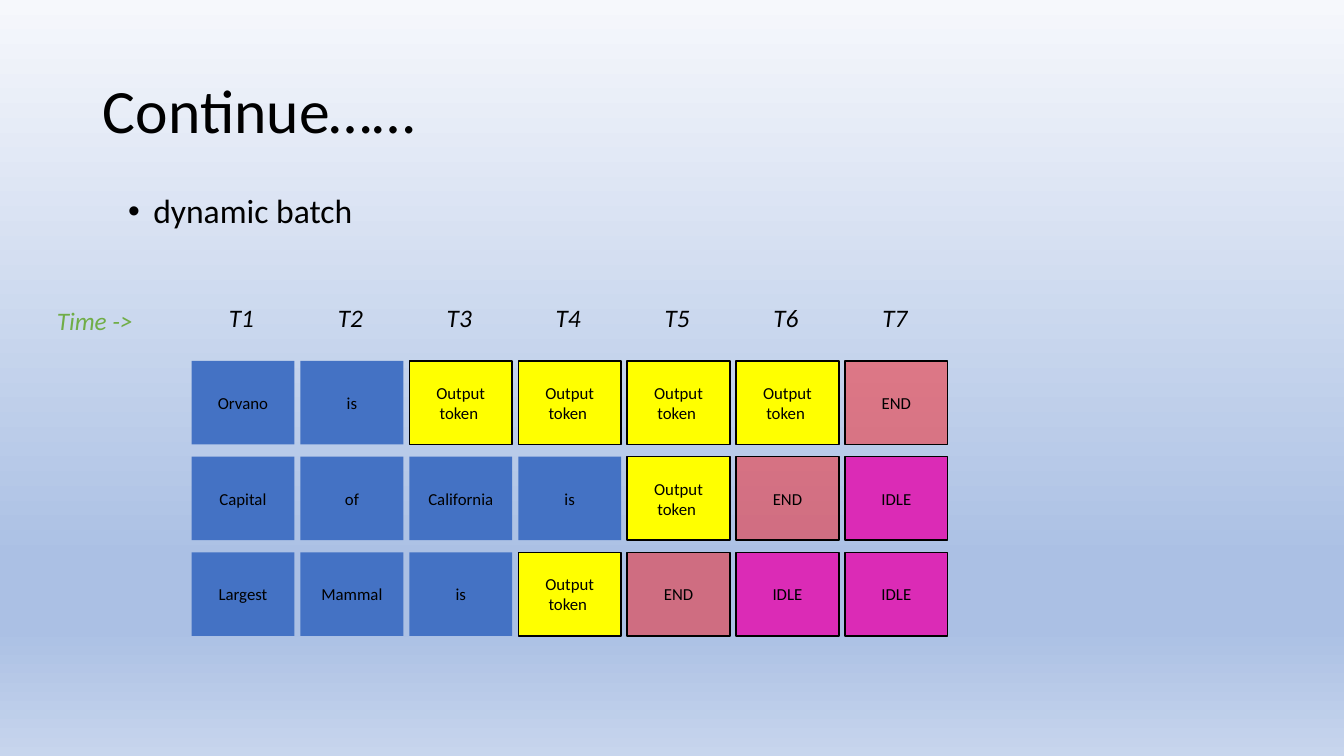
from lxml import etree
from pptx import Presentation
from pptx.dml.color import RGBColor
from pptx.enum.shapes import MSO_SHAPE
from pptx.enum.text import MSO_ANCHOR, MSO_AUTO_SIZE, PP_ALIGN
from pptx.oxml.ns import qn
from pptx.util import Inches, Pt

RECTANGLE = MSO_SHAPE.RECTANGLE
MIDDLE, TOP = MSO_ANCHOR.MIDDLE, MSO_ANCHOR.TOP
LEFT, CENTER = PP_ALIGN.LEFT, PP_ALIGN.CENTER
NO_FIT, GROW = MSO_AUTO_SIZE.NONE, MSO_AUTO_SIZE.SHAPE_TO_FIT_TEXT

COLORS = {
    "text": "000000",
    "time": "70AD47",
    "prompt": "4472C4",
    "output": "FFFF00",
    "end": "FF0000",
    "idle": "DB2BB6",
}
BACKGROUND = [(0, "F6F8FC"), (74, "ABC0E4"), (83, "ABC0E4"), (100, "C7D5ED")]
END_OPACITY = 43

GRID_LEFT, GRID_TOP = 1.9, 3.58
COLUMN_STEP, ROW_STEP = 1.08, 0.95
CELL_WIDTH, CELL_HEIGHT = 1.02, 0.83
HEADING_TOP, HEADING_WIDTH, HEADING_HEIGHT = 2.95, 0.99, 0.4

STEPS = 7
PROMPTS = [
    (["Orvano", "is"], 4),
    (["Capital", "of", "California", "is"], 1),
    (["Largest", "Mammal", "is"], 1),
]


def color(name):
    return RGBColor.from_string(COLORS[name])


def apply(target, values):
    for name, value in values.items():
        setattr(target, name, value)


def write(para, text, size, color_name="text", italic=False):
    para.text = text
    apply(para.font, {"name": "Calibri", "size": Pt(size), "italic": italic})
    para.font.color.rgb = color(color_name)


def place(shape, left, top, width, height):
    apply(shape, {"left": Inches(left), "top": Inches(top),
                  "width": Inches(width), "height": Inches(height)})


def paint_background(page):
    fill = page.background.fill
    fill.gradient()
    fill.gradient_angle = 270
    stops = next(page.element.iter(qn("a:gsLst")))
    for stop in list(stops):
        stops.remove(stop)
    for position, shade in BACKGROUND:
        stop = etree.SubElement(stops, qn("a:gs"), pos=str(position * 1000))
        etree.SubElement(stop, qn("a:srgbClr"), val=shade)


def add_title(page, text):
    title = page.shapes.title
    place(title, 0.92, 0.4, 11.5, 1.45)
    apply(title.text_frame, {"vertical_anchor": MIDDLE, "auto_size": NO_FIT})
    para = title.text_frame.paragraphs[0]
    write(para, text, 44)
    apply(para, {"alignment": LEFT, "line_spacing": 0.9})


def add_topic(page, text):
    body = page.placeholders[1]
    place(body, 0.67, 1.88, 12, 0.53)
    apply(body.text_frame, {"vertical_anchor": TOP, "auto_size": NO_FIT})
    para = body.text_frame.paragraphs[0]
    para.level = 1
    properties = para._p.get_or_add_pPr()
    properties.set("marL", str(Inches(0.75)))
    properties.set("indent", str(Inches(-0.25)))
    etree.SubElement(properties, qn("a:buFont"), typeface="Arial")
    etree.SubElement(properties, qn("a:buChar"), char="•")
    write(para, text, 24)
    apply(para, {"line_spacing": 0.9, "space_before": Pt(0)})


def add_heading(page, text, left, top, width, color_name="text", wrap=True):
    box = page.shapes.add_textbox(Inches(left), Inches(top), Inches(width),
                                  Inches(HEADING_HEIGHT))
    apply(box.text_frame, {"margin_left": 0, "margin_right": 0,
                           "word_wrap": wrap, "auto_size": GROW})
    para = box.text_frame.paragraphs[0]
    write(para, text, 18, color_name, italic=True)
    para.alignment = CENTER


def add_token(page, row, column, kind, text):
    cell = page.shapes.add_shape(
        RECTANGLE,
        Inches(GRID_LEFT + column * COLUMN_STEP),
        Inches(GRID_TOP + row * ROW_STEP),
        Inches(CELL_WIDTH), Inches(CELL_HEIGHT))
    cell.shadow.inherit = False
    cell.fill.solid()
    cell.fill.fore_color.rgb = color(kind)
    if kind == "end":
        tint = cell.element.spPr.find(qn("a:solidFill")).find(qn("a:srgbClr"))
        etree.SubElement(tint, qn("a:alpha"), val=str(END_OPACITY * 1000))
    if kind == "prompt":
        cell.line.fill.background()
    else:
        cell.line.color.rgb = color("text")
        cell.line.width = Pt(1)
    apply(cell.text_frame, {"vertical_anchor": MIDDLE, "word_wrap": True})
    para = cell.text_frame.paragraphs[0]
    write(para, text, 12)
    para.alignment = CENTER


def add_batch_row(page, row, words, outputs):
    tokens = [("prompt", word) for word in words]
    tokens += [("output", "Output token ")] * outputs
    tokens.append(("end", "END"))
    tokens += [("idle", "IDLE")] * (STEPS - len(tokens))
    for column, (kind, text) in enumerate(tokens):
        add_token(page, row, column, kind, text)


def main():
    deck = Presentation()
    deck.slide_width, deck.slide_height = Inches(13.33), Inches(7.5)
    page = deck.slides.add_slide(deck.slide_layouts[1])
    paint_background(page)
    add_title(page, "Continue……")
    add_topic(page, "dynamic batch")
    add_heading(page, "Time ->", 0.5, 2.98, 0.88, "time", wrap=False)
    for column in range(STEPS):
        add_heading(page, f"T{column + 1}", GRID_LEFT + column * COLUMN_STEP,
                    HEADING_TOP, HEADING_WIDTH)
    for row, (words, outputs) in enumerate(PROMPTS):
        add_batch_row(page, row, words, outputs)
    deck.save("out.pptx")


if __name__ == "__main__":
    main()
